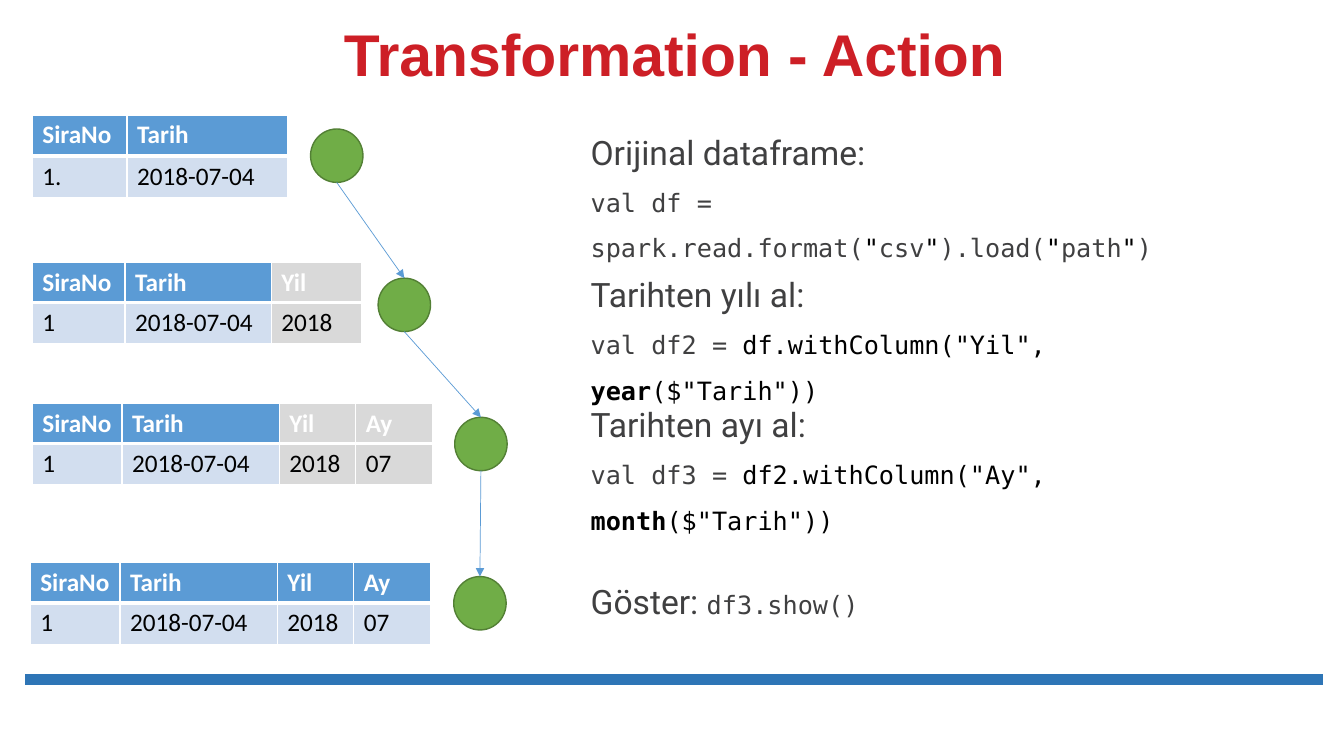
"""Build the slide that explains transformations and actions on a dataframe."""
from itertools import pairwise

from lxml import etree
from pptx import Presentation
from pptx.dml.color import RGBColor
from pptx.enum.shapes import MSO_CONNECTOR, MSO_SHAPE
from pptx.enum.text import MSO_ANCHOR, MSO_AUTO_SIZE, PP_ALIGN
from pptx.oxml import parse_xml
from pptx.oxml.ns import nsdecls, qn
from pptx.util import Pt

PX = 9144
STRAIGHT = MSO_CONNECTOR.STRAIGHT
OVAL = MSO_SHAPE.OVAL
BOTTOM = MSO_ANCHOR.BOTTOM
CENTER = PP_ALIGN.CENTER
GROW = MSO_AUTO_SIZE.SHAPE_TO_FIT_TEXT

RED = RGBColor(0xCD, 0x1F, 0x26)
GREY = RGBColor(0x40, 0x40, 0x41)
BLACK = RGBColor(0, 0, 0)
WHITE = RGBColor(0xFF, 0xFF, 0xFF)
BLUE = RGBColor(0x5B, 0x9B, 0xD5)
DARK_BLUE = RGBColor(0x2E, 0x75, 0xB6)
PALE_BLUE = RGBColor(0xD2, 0xDE, 0xEF)
PALE_GREY = RGBColor(0xD9, 0xD9, 0xD9)
GREEN = RGBColor(0x70, 0xAD, 0x47)
DARK_GREEN = RGBColor(0x53, 0x80, 0x35)


def write(paragraph, text, *, font="DejaVu Sans Mono", size=18, color=GREY, bold=False):
    run = paragraph.add_run()
    run.text = text
    run.font.name = font
    run.font.size = Pt(size)
    run.font.bold = bold
    run.font.color.rgb = color


def connect(start, end, color, width):
    line = slide.shapes.add_connector(STRAIGHT, *(v * PX for v in (*start, *end)))
    line.line.color.rgb = color
    line.line.width = Pt(width)
    etree.SubElement(line._element.spPr, qn("a:effectLst"))
    return line


deck = Presentation()
deck.slide_width, deck.slide_height = 1333 * PX, 750 * PX
slide = deck.slides.add_slide(deck.slide_layouts[6])

connect((25, 674), (1312, 674), DARK_BLUE, 8)

title = slide.shapes.add_textbox(280 * PX, 19 * PX, 778 * PX, 74 * PX).text_frame
title.word_wrap = True
title.vertical_anchor = BOTTOM
heading = title.paragraphs[0]
heading.alignment = CENTER
heading.line_spacing = 0.9
write(heading, "Transformation - Action", font="Arial", size=42, color=RED, bold=True)

HEADING = {"font": "Roboto", "size": 24}
DARK = {"color": BLACK}
STRONG = {"color": BLACK, "bold": True}
steps = [
    (106, 700, 116, [
        [("Orijinal dataframe:", HEADING)],
        [("val df = spark.read.format(", {}), ('"', DARK), ("csv", {}), ('"', DARK),
         (").load(", {}), ('"', DARK), ("path", {}), ('"', DARK), (")", {})],
    ]),
    (247, 674, 116, [
        [("Tarihten yılı al:", HEADING)],
        [("val df2 = ", {}), ('df.withColumn("Yil", ', DARK), ("year", STRONG),
         ('($"Tarih"))', DARK)],
    ]),
    (376, 700, 116, [
        [("Tarihten ayı al:", HEADING)],
        [("val df3 = ", {}), ('df2.withColumn("Ay", ', DARK), ("month", STRONG),
         ('($"Tarih"))', DARK)],
    ]),
    (551, 385, 71, [[("Göster: ", HEADING), ("df3.show()", {})]]),
]
for top, width, height, lines in steps:
    step = slide.shapes.add_textbox(576 * PX, top * PX, width * PX, height * PX).text_frame
    step.word_wrap = True
    step.auto_size = GROW
    for index, pieces in enumerate(lines):
        paragraph = step.add_paragraph() if index else step.paragraphs[0]
        paragraph.line_spacing = 1.5
        for text, style in pieces:
            write(paragraph, text, **style)

HEADERS = ["SiraNo", "Tarih", "Yil", "Ay"]
VALUES = ["1", "2018-07-04", "2018", "07"]
dataframes = [
    (32, 114, 41, [94, 159], ["1.", *VALUES[1:]], 2),
    (32, 260, 39, [92, 145, 90], VALUES, 2),
    (32, 400, 39, [89, 156, 76, 76], VALUES, 2),
    (30, 558, 39, [89, 156, 76, 76], VALUES, 4),
]
for left, top, header_height, widths, values, blue_columns in dataframes:
    table = slide.shapes.add_table(
        2, len(widths), left * PX, top * PX, sum(widths) * PX, (header_height + 41) * PX
    ).table
    table.rows[0].height, table.rows[1].height = header_height * PX, 41 * PX
    for column, width in enumerate(widths):
        table.columns[column].width = width * PX
        for row, (texts, fill, color) in enumerate(
            [(HEADERS, BLUE, WHITE), (values, PALE_BLUE, BLACK)]
        ):
            cell = table.cell(row, column)
            write(cell.text_frame.paragraphs[0], texts[column],
                  font="Calibri", color=color, bold=row == 0)
            inner_side = "T" if row else "B"
            for side in "LRTB":
                points = 3 if side == inner_side else 1
                cell._tc.get_or_add_tcPr().append(parse_xml(
                    f'<a:ln{side} {nsdecls("a")} w="{Pt(points)}"><a:solidFill>'
                    f'<a:srgbClr val="{WHITE}"/></a:solidFill></a:ln{side}>'
                ))
            cell.fill.solid()
            cell.fill.fore_color.rgb = fill if column < blue_columns else PALE_GREY

NODE_WIDTH, NODE_HEIGHT = 52, 53
nodes = [(308, 128), (375, 276), (451, 414), (450, 572)]
for left, top in nodes:
    node = slide.shapes.add_shape(
        OVAL, left * PX, top * PX, NODE_WIDTH * PX, NODE_HEIGHT * PX
    )
    node.shadow.inherit = False
    node.fill.solid()
    node.fill.fore_color.rgb = GREEN
    node.line.color.rgb = DARK_GREEN
    node.line.width = Pt(1)

for (left, top), (next_left, next_top) in pairwise(nodes):
    arrow = connect((left + NODE_WIDTH // 2, top + NODE_HEIGHT),
                    (next_left + NODE_WIDTH // 2, next_top), BLUE, 0.5)
    etree.SubElement(arrow.line._get_or_add_ln(), qn("a:tailEnd"), type="triangle")

deck.save("out.pptx")
